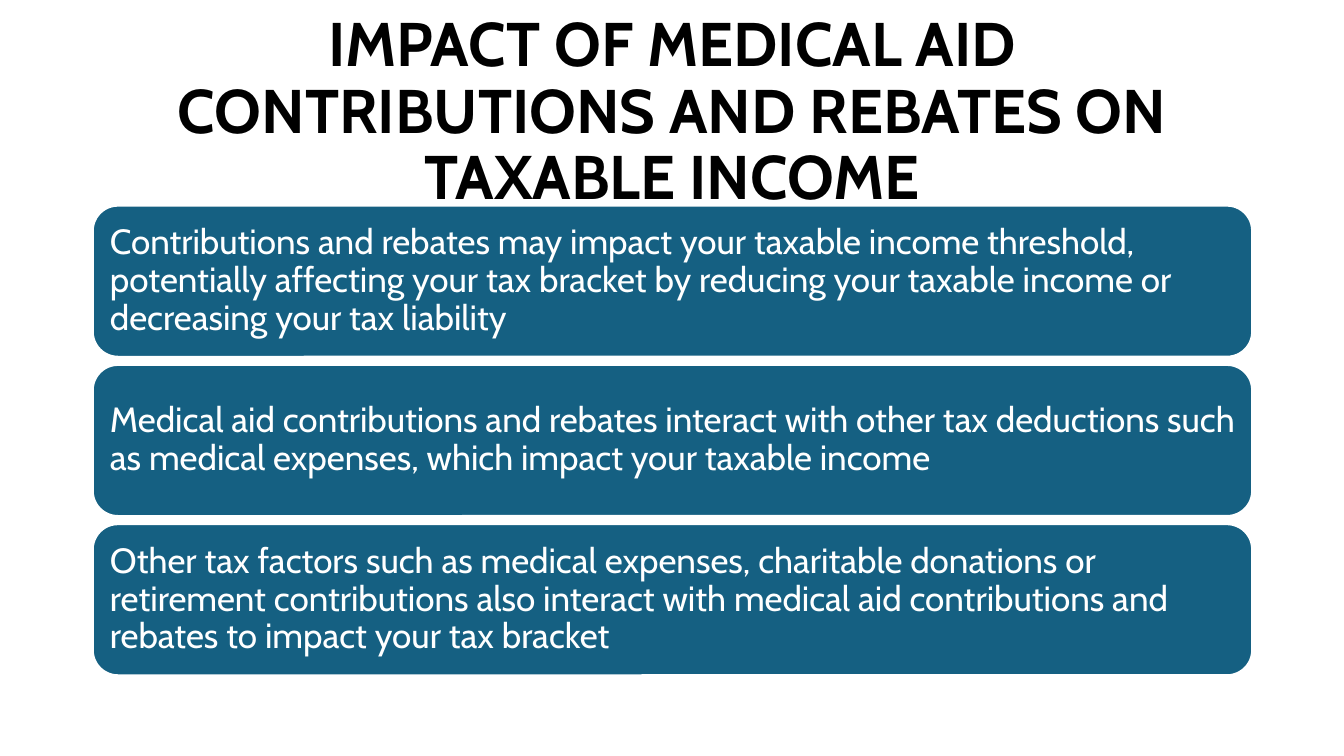
from dataclasses import dataclass

from pptx import Presentation
from pptx import util as u
from pptx.dml.color import RGBColor
from pptx.enum import shapes, text

PX = 9144  # EMU per px, 100 px to the inch


@dataclass(frozen=True)
class Theme:
    font: str = "Cabin"
    title_color: str = "000000"
    card_fill: str = "156082"
    card_text: str = "FFFFFF"
    card_line: str = "FFFFFF"
    title_size: int = 44
    card_size: int = 25
    line_spacing: float = 0.9


class SlideBuilder:
    def __init__(self, slide, theme):
        self.slide = slide
        self.theme = theme

    def set_text(self, shape, words, size, color, align, bold=False):
        frame = shape.text_frame
        frame.text = words
        frame.word_wrap = True
        frame.auto_size = text.MSO_AUTO_SIZE.NONE
        frame.vertical_anchor = text.MSO_ANCHOR.MIDDLE
        paragraph = frame.paragraphs[0]
        paragraph.alignment = align
        paragraph.line_spacing = self.theme.line_spacing
        font = paragraph.runs[0].font
        font.name = self.theme.font
        font.size = u.Pt(size)
        font.bold = bold
        font.color.rgb = RGBColor.from_string(color)
        return frame

    def title(self, words, left, top, width, height):
        shape = self.slide.shapes.title
        shape.left, shape.top = left * PX, top * PX
        shape.width, shape.height = width * PX, height * PX
        self.set_text(shape, words, self.theme.title_size,
                      self.theme.title_color, text.PP_ALIGN.CENTER, bold=True)

    def card(self, words, left, top, width, height):
        shape = self.slide.shapes.add_shape(
            shapes.MSO_SHAPE.ROUNDED_RECTANGLE,
            left * PX, top * PX, width * PX, height * PX)
        shape.shadow.inherit = False
        shape.fill.solid()
        shape.fill.fore_color.rgb = RGBColor.from_string(self.theme.card_fill)
        shape.line.color.rgb = RGBColor.from_string(self.theme.card_line)
        shape.line.width = u.Pt(1.5)
        frame = self.set_text(shape, words, self.theme.card_size,
                              self.theme.card_text, text.PP_ALIGN.LEFT)
        frame.margin_left = frame.margin_right = 10 * PX
        frame.margin_top = frame.margin_bottom = 10 * PX


TITLE = "IMPACT OF MEDICAL AID CONTRIBUTIONS AND REBATES ON TAXABLE INCOME"
CARDS = [
    "Contributions and rebates may impact your taxable income threshold, "
    "potentially affecting your tax bracket by reducing your taxable income "
    "or decreasing your tax liability",
    "Medical aid contributions and rebates interact with other tax deductions "
    "such as medical expenses, which impact your taxable income",
    "Other tax factors such as medical expenses, charitable donations or "
    "retirement contributions also interact with medical aid contributions "
    "and rebates to impact your tax bracket",
]
LEFT, WIDTH = 92, 1150
CARD_TOP, CARD_HEIGHT, CARD_GAP = 204, 150, 8


def main():
    presentation = Presentation()
    presentation.slide_width = u.Inches(13.33)
    presentation.slide_height = u.Inches(7.5)

    # Title in the title-only layout
    slide = presentation.slides.add_slide(presentation.slide_layouts[5])
    builder = SlideBuilder(slide, Theme())
    builder.title(TITLE, LEFT, 40, WIDTH, 145)

    # Stack of equal cards
    for row, words in enumerate(CARDS):
        top = CARD_TOP + row * (CARD_HEIGHT + CARD_GAP)
        builder.card(words, LEFT, top, WIDTH, CARD_HEIGHT)

    presentation.save("out.pptx")


if __name__ == "__main__":
    main()
